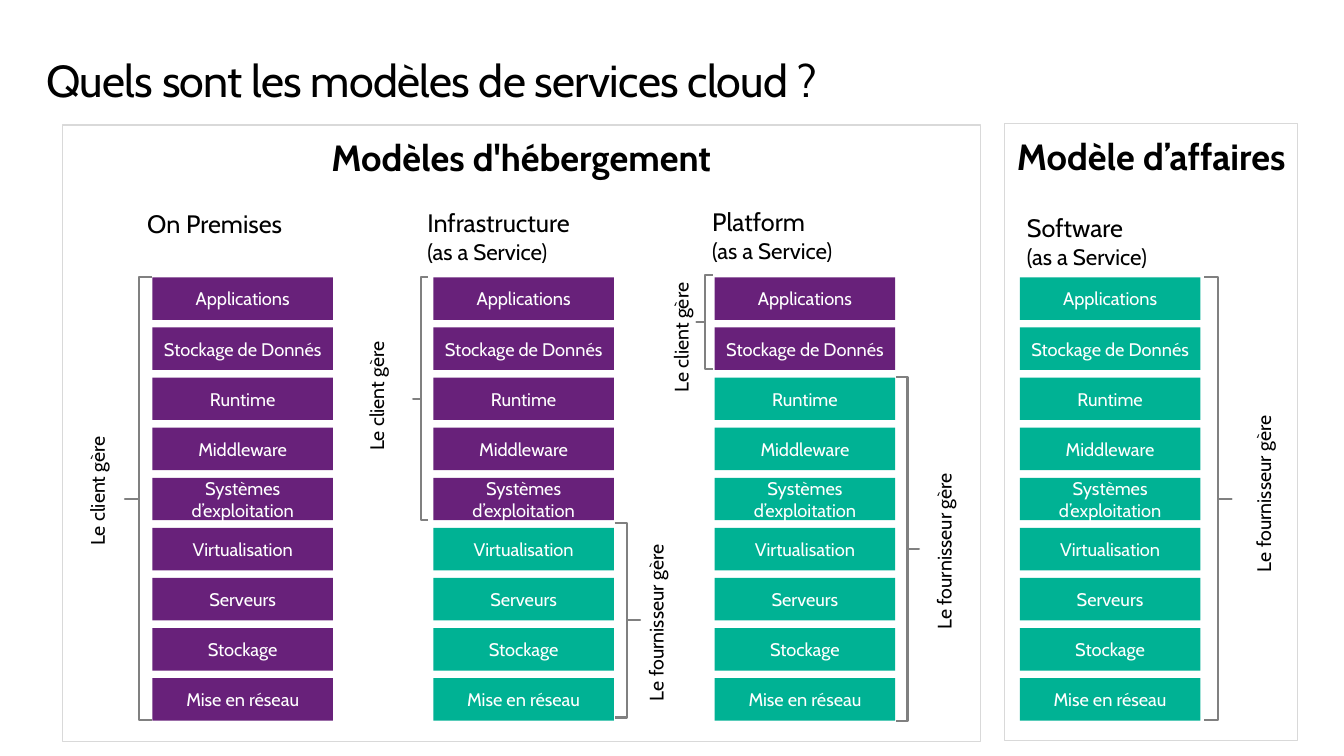
"""Build a slide comparing cloud service models and who manages each layer."""
from pptx import Presentation
from pptx.dml.color import RGBColor
from pptx.enum.shapes import MSO_SHAPE
from pptx.enum.text import MSO_ANCHOR, PP_ALIGN
from pptx.util import Cm, Pt

FONT = "Cabin"
PURPLE, GREEN, GREY, PALE = "68217A", "00B294", "808080", "D9D9D9"
BLACK, WHITE = "000000", "FFFFFF"

TITLE = "Quels sont les modèles de services cloud ?"
LAYERS = ["Applications", "Stockage de Donnés", "Runtime", "Middleware",
          "Systèmes d’exploitation", "Virtualisation", "Serveurs", "Stockage",
          "Mise en réseau"]
PANELS = [
    ("Modèles d'hébergement", (1.57, 3.15, 23.14, 15.54)),
    ("Modèle d’affaires", (25.32, 3.12, 7.39, 15.54)),
]
MANAGERS = {
    "client": ("Le client gère", MSO_SHAPE.LEFT_BRACE, 3.2),
    "provider": ("Le fournisseur gère", MSO_SHAPE.RIGHT_BRACE, 4.47),
}
SERVICE = "(as a Service)"
COLUMNS = [
    {"heading": ["On Premises"], "heading_box": (2.82, 5.26, 5.18, 1.78),
     "align": PP_ALIGN.CENTER, "left": 3.84, "client_layers": 9,
     "braces": [("client", (3.15, 6.99, 0.69, 11.15), (1.9, 10.77))]},
    {"heading": ["Infrastructure", SERVICE], "heading_box": (10.52, 5.23, 7.21, 1.78),
     "align": PP_ALIGN.LEFT, "left": 10.92, "client_layers": 5,
     "braces": [("client", (10.41, 6.99, 0.38, 6.12), (8.94, 8.38)),
                ("provider", (15.49, 13.18, 0.64, 4.9), (15.98, 13.46))]},
    {"heading": ["Platform", SERVICE], "heading_box": (17.7, 5.21, 7.16, 1.78),
     "align": PP_ALIGN.LEFT, "left": 18.01, "client_layers": 2,
     "braces": [("client", (17.55, 6.93, 0.43, 2.36), (16.61, 6.91)),
                ("provider", (22.58, 9.5, 0.58, 8.66), (23.24, 11.66))]},
    {"heading": ["Software", SERVICE], "heading_box": (25.63, 5.36, 6.76, 1.78),
     "align": PP_ALIGN.LEFT, "left": 25.7, "client_layers": 0,
     "braces": [("provider", (30.35, 6.99, 0.69, 11.15), (31.29, 10.21))]},
]
HEADING_SIZES = [18, 16]
BLOCK_WIDTH, BLOCK_HEIGHT = 4.55, 1.07
FIRST_TOP, LAST_TOP = 6.99, 17.09
LABEL_WIDTH = 1.12


def color(value):
    return RGBColor.from_string(value)


def write(shape, lines, sizes, ink=BLACK, align=PP_ALIGN.CENTER, margins=(0, 0),
          anchor=MSO_ANCHOR.TOP, bold=False, wrap=True):
    frame = shape.text_frame
    frame.word_wrap = wrap
    frame.vertical_anchor = anchor
    frame.margin_left = frame.margin_right = Cm(margins[0])
    frame.margin_top = frame.margin_bottom = Cm(margins[1])
    frame.text = "\n".join(lines)
    for paragraph, size in zip(frame.paragraphs, sizes):
        paragraph.alignment = align
        font = paragraph.font
        font.name, font.size, font.bold = FONT, Pt(size), bold
        font.color.rgb = color(ink)
    return frame


def add_text(slide, box, lines, sizes, **style):
    return write(slide.shapes.add_textbox(*map(Cm, box)), lines, sizes, **style)


def add_outline(slide, kind, box, line, width):
    shape = slide.shapes.add_shape(kind, *map(Cm, box))
    shape.shadow.inherit = False
    shape.fill.background()
    shape.line.color.rgb = color(line)
    shape.line.width = Pt(width)
    return shape


def add_block(slide, box, text, fill):
    block = slide.shapes.add_shape(MSO_SHAPE.RECTANGLE, *map(Cm, box))
    block.shadow.inherit = False
    block.fill.solid()
    block.fill.fore_color.rgb = color(fill)
    block.line.fill.background()
    write(block, [text], [13], ink=WHITE, margins=(0, 0.13), anchor=MSO_ANCHOR.MIDDLE)


def add_manager(slide, manager, box, label_place):
    text, kind, label_height = MANAGERS[manager]
    brace = add_outline(slide, kind, box, GREY, 1.5)
    brace.adjustments[0], brace.adjustments[1] = 0, 0.5
    label = add_text(slide, (*label_place, LABEL_WIDTH, label_height), [text], [14],
                     margins=(0.25, 0.13), wrap=False)
    label._txBody.bodyPr.set("vert", "vert270")


def add_column(slide, column):
    add_text(slide, column["heading_box"], column["heading"], HEADING_SIZES,
             align=column["align"], margins=(0.25, 0))
    pitch = (LAST_TOP - FIRST_TOP) / (len(LAYERS) - 1)
    for row, layer in enumerate(LAYERS):
        fill = PURPLE if row < column["client_layers"] else GREEN
        box = (column["left"], FIRST_TOP + row * pitch, BLOCK_WIDTH, BLOCK_HEIGHT)
        add_block(slide, box, layer, fill)
    for brace in column["braces"]:
        add_manager(slide, *brace)


def main():
    presentation = Presentation()
    presentation.slide_width, presentation.slide_height = Cm(33.87), Cm(19.05)
    slide = presentation.slides.add_slide(presentation.slide_layouts[6])
    title = add_text(slide, (1.17, 1.22, 31.5, 1.88), [TITLE], [32],
                     align=PP_ALIGN.LEFT, margins=(0, 0.25)).paragraphs[0]
    title.line_spacing = 0.9
    title.runs[0]._r.get_or_add_rPr().set("spc", "-50")
    for text, box in PANELS:
        add_outline(slide, MSO_SHAPE.RECTANGLE, box, PALE, 0.85)
        left, top, width, _ = box
        add_text(slide, (left, top + 0.25, width, 1.78), [text], [26], bold=True)
    for column in COLUMNS:
        add_column(slide, column)
    presentation.save("out.pptx")


if __name__ == "__main__":
    main()
